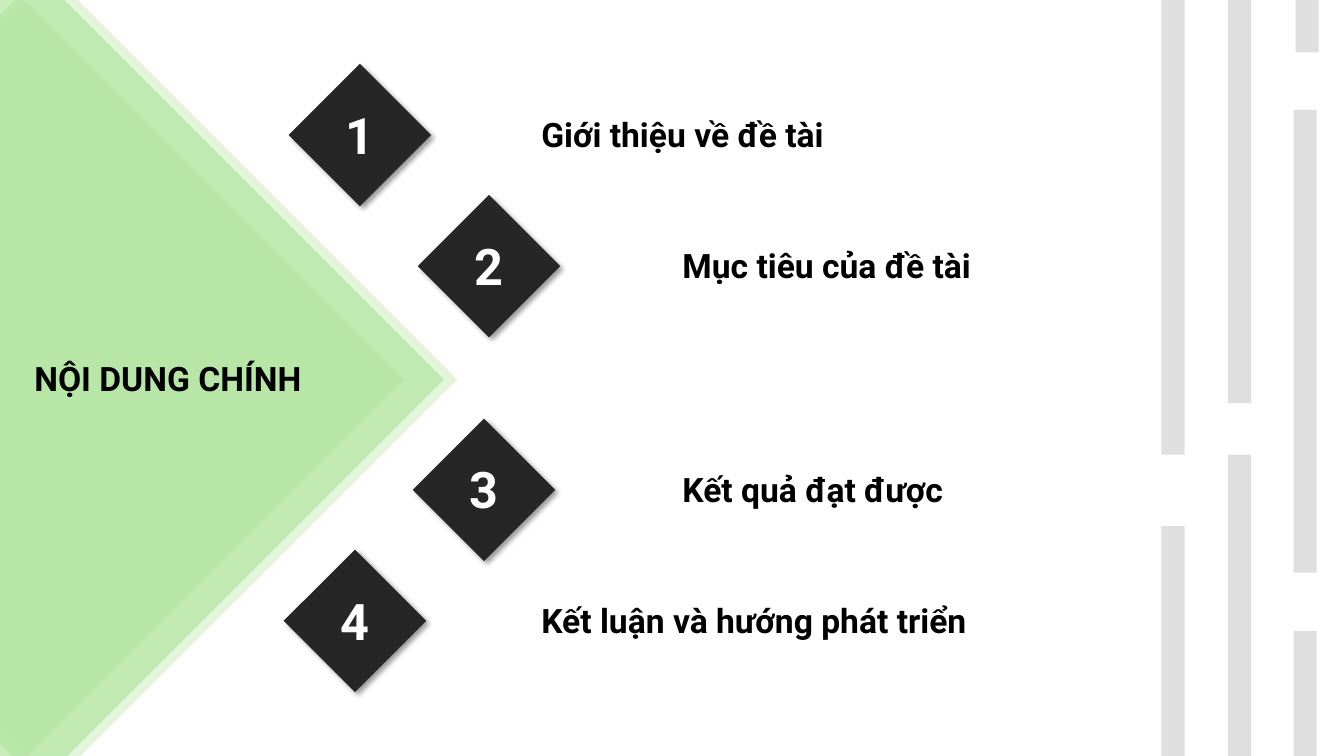
from dataclasses import dataclass

from lxml import etree
from pptx import Presentation
from pptx import util as u
from pptx.dml.color import RGBColor
from pptx.enum import shapes, text
from pptx.oxml import ns, parse_xml

PX = 9144  # EMU per px, 100 px to the inch


@dataclass(frozen=True)
class Theme:
    font: str = "Roboto"
    dark: str = "262626"
    ink: str = "000000"
    white: str = "FFFFFF"
    green: str = "B4E5A2"
    gray: str = "D1D1D1"
    body: int = 24
    digit: int = 36


class Deck:
    def __init__(self, theme):
        self.theme = theme
        self.prs = Presentation()
        self.prs.slide_width = 1333 * PX
        self.prs.slide_height = 750 * PX
        self.slide = self.prs.slides.add_slide(self.prs.slide_layouts[5])
        self.target = self.slide.shapes

    def group(self):
        self.target = self.slide.shapes.add_group_shape().shapes

    def ungroup(self):
        self.target = self.slide.shapes

    def rect(self, x, y, w, h, color, alpha=100, turn=0):
        box = self.target.add_shape(shapes.MSO_SHAPE.RECTANGLE,
                                    x * PX, y * PX, w * PX, h * PX)
        box.rotation = turn
        box.shadow.inherit = False
        box.fill.solid()
        box.fill.fore_color.rgb = RGBColor.from_string(color)
        if alpha < 100:
            tint = box._element.spPr.find(".//" + ns.qn("a:srgbClr"))
            etree.SubElement(tint, ns.qn("a:alpha"), val=str(alpha * 1000))
        box.line.fill.background()
        return box

    def shade(self, box):
        """Soft shadow falling to the lower right."""
        effects = box._element.spPr.find(ns.qn("a:effectLst"))
        effects.append(parse_xml(
            f'<a:outerShdw {ns.nsdecls("a")} blurRad="{u.Pt(4)}" dist="{u.Pt(3)}" '
            'dir="2700000" algn="tl" rotWithShape="0">'
            f'<a:srgbClr val="{self.theme.ink}"><a:alpha val="40000"/></a:srgbClr>'
            '</a:outerShdw>'))

    def style(self, box, words, size, color):
        frame = box.text_frame
        frame.text = words
        frame.word_wrap = False
        frame.auto_size = text.MSO_AUTO_SIZE.SHAPE_TO_FIT_TEXT
        frame.vertical_anchor = text.MSO_ANCHOR.TOP
        para = frame.paragraphs[0]
        para.alignment = text.PP_ALIGN.LEFT
        para.font.name = self.theme.font
        para.font.size = u.Pt(size)
        para.font.bold = True
        para.font.color.rgb = RGBColor.from_string(color)

    def label(self, x, y, w, h, words, size, color):
        box = self.target.add_textbox(x * PX, y * PX, w * PX, h * PX)
        self.style(box, words, size, color)

    def title(self, x, y, w, h, words):
        box = self.slide.shapes.title
        box.left, box.top, box.width, box.height = (n * PX for n in (x, y, w, h))
        self.style(box, words, self.theme.body, self.theme.ink)
        self.slide.shapes._spTree.append(box._element)  # bring to front

    def topic(self, num, x, y, left, width, words):
        """Numbered diamond with its label."""
        self.group()
        self.shade(self.rect(x, y, 100, 100, self.theme.dark, turn=45))
        self.label(x + 26, y + 14, 48, 71, str(num),
                   self.theme.digit, self.theme.white)
        self.label(left, y + 24, width, 50, words,
                   self.theme.body, self.theme.ink)
        self.ungroup()


def main():
    theme = Theme()
    deck = Deck(theme)

    # Agenda: diamond x, y, label left, width, words
    topics = [
        (307, 84, 527, 322, "Giới thiệu về đề tài"),
        (435, 214, 667, 321, "Mục tiêu của đề tài"),
        (430, 436, 667, 300, "Kết quả đạt được"),
        (302, 566, 527, 481, "Kết luận và hướng phát triển"),
    ]
    for num, topic in enumerate(topics, 1):
        deck.topic(num, *topic)

    # Layered green wedge over a white base
    layers = [
        (-225, 99, theme.white, 100),
        (-284, 93, theme.green, 70),
        (-244, 93, theme.green, 70),
        (-231, 93, theme.green, 38),
    ]
    for x, y, color, alpha in layers:
        deck.rect(x, y, 567, 567, color, alpha, turn=45)

    deck.title(24, 350, 305, 50, "NỘI DUNG CHÍNH")

    # Gray bars running down the right side
    bars = [(1152, -8), (1152, 522), (1218, -59), (1218, 451),
            (1283, 109), (1283, 626), (1285, -407)]
    for x, y in bars:
        deck.rect(x, y, 23, 459, theme.gray, 68)

    deck.prs.save("out.pptx")


if __name__ == "__main__":
    main()
